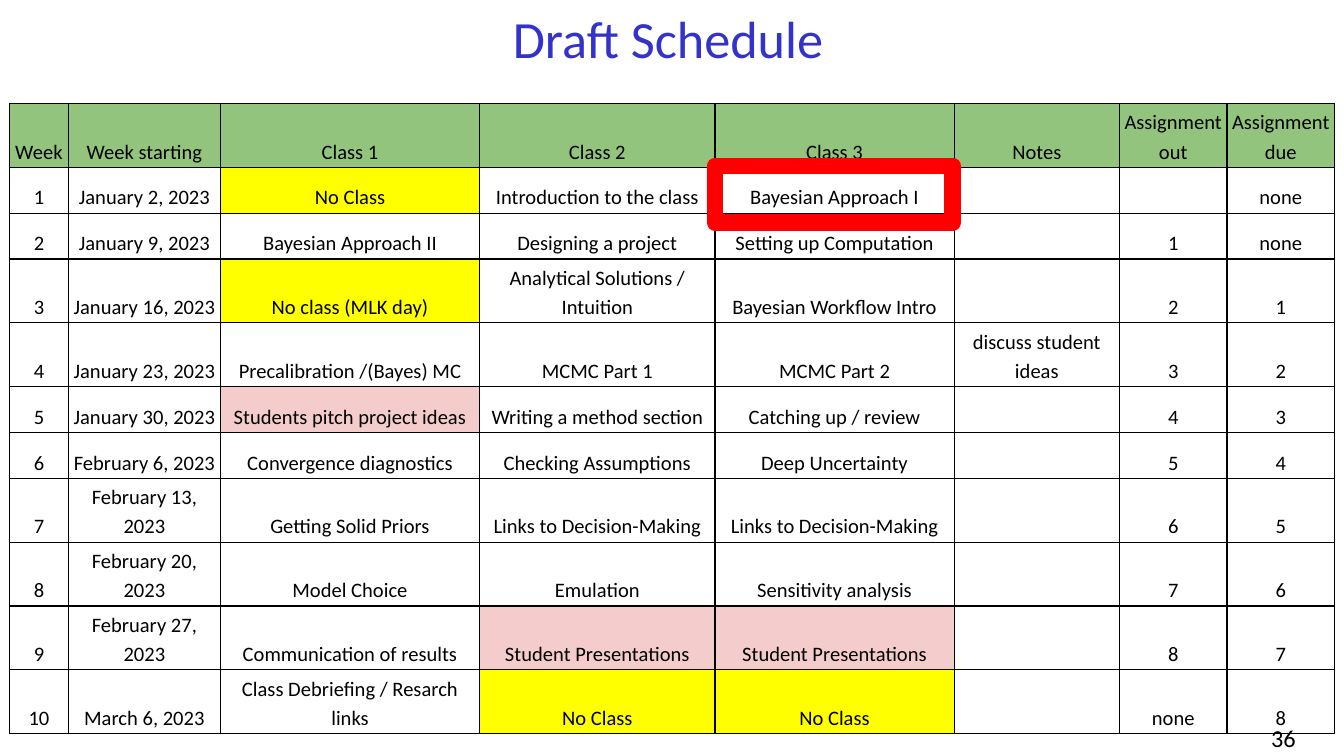
from dataclasses import dataclass

from lxml import etree
from pptx import Presentation
from pptx.dml.color import RGBColor
from pptx.enum.shapes import MSO_SHAPE
from pptx.enum.text import MSO_ANCHOR, PP_ALIGN
from pptx.oxml.ns import qn
from pptx.util import Inches, Pt

CENTER = PP_ALIGN.CENTER
TOP, MIDDLE, BOTTOM = MSO_ANCHOR.TOP, MSO_ANCHOR.MIDDLE, MSO_ANCHOR.BOTTOM
RECTANGLE = MSO_SHAPE.RECTANGLE
TITLE_ONLY = 5


@dataclass(frozen=True)
class Theme:
    font: str = "Calibri"
    title_size: float = 28
    number_size: float = 13
    cell_size: float = 11
    border_width: float = 0.75
    marker_width: float = 9
    title: str = "3333CC"
    text: str = "000000"
    header: str = "93C47D"
    no_class: str = "FFFF00"
    student: str = "F4CCCC"
    marker: str = "FF0000"


THEME = Theme()

COLUMN_WIDTHS = [0.44, 1.13, 1.93, 1.75, 1.78, 1.23, 0.8, 0.8]
SINGLE_ROW, DOUBLE_ROW = 24.6 / 72, 34.2 / 72
SINGLE_WEEKS = (1, 2, 5, 6)
HEADINGS = ["Week", "Week starting", "Class 1", "Class 2", "Class 3", "Notes",
            "Assignment out", "Assignment due"]
WEEKS = [
    ["January 2, 2023", "No Class", "Introduction to the class",
     "Bayesian Approach I", "", "", "none"],
    ["January 9, 2023", "Bayesian Approach II", "Designing a project",
     "Setting up Computation", "", "1", "none"],
    ["January 16, 2023", "No class (MLK day)", "Analytical Solutions / Intuition",
     "Bayesian Workflow Intro", "", "2", "1"],
    ["January 23, 2023", "Precalibration /(Bayes) MC", "MCMC Part 1",
     "MCMC Part 2", "discuss student ideas", "3", "2"],
    ["January 30, 2023", "Students pitch project ideas", "Writing a method section",
     "Catching up / review", "", "4", "3"],
    ["February 6, 2023", "Convergence diagnostics", "Checking Assumptions",
     "Deep Uncertainty", "", "5", "4"],
    ["February 13, 2023", "Getting Solid Priors", "Links to Decision-Making",
     "Links to Decision-Making", "", "6", "5"],
    ["February 20, 2023", "Model Choice", "Emulation",
     "Sensitivity analysis", "", "7", "6"],
    ["February 27, 2023", "Communication of results", "Student Presentations",
     "Student Presentations", "", "8", "7"],
    ["March 6, 2023", "Class Debriefing / Resarch links", "No Class",
     "No Class", "", "none", "8"],
]
ROWS = [HEADINGS] + [[str(week), *entries] for week, entries in enumerate(WEEKS, 1)]
ROW_HEIGHTS = [SINGLE_ROW if row in SINGLE_WEEKS else DOUBLE_ROW
               for row in range(len(ROWS))]


def apply_format(target, values):
    for name, value in values.items():
        setattr(target, name, value)


def write_text(para, text, size, color):
    para.alignment = CENTER
    span = para.add_run()
    span.text = text
    apply_format(span.font, {"name": THEME.font, "size": Pt(size)})
    span.font.color.rgb = RGBColor.from_string(color)


def margins(left, top, right, bottom):
    return {"margin_left": Inches(left), "margin_top": Inches(top),
            "margin_right": Inches(right), "margin_bottom": Inches(bottom)}


def add_title(page, box):
    title = page.shapes.title
    apply_format(title, dict(zip(("left", "top", "width", "height"),
                                 map(Inches, box))))
    frame = title.text_frame
    apply_format(frame, {**margins(0.04, 0.04, 0.08, 0.04),
                         "vertical_anchor": MIDDLE, "word_wrap": True})
    write_text(frame.paragraphs[0], "Draft Schedule", THEME.title_size, THEME.title)


def add_page_number(page, box):
    frame = page.shapes.add_textbox(*map(Inches, box)).text_frame
    apply_format(frame, {**margins(0.06, 0.03, 0.06, 0.03),
                         "vertical_anchor": TOP, "word_wrap": True})
    write_text(frame.paragraphs[0], "36", THEME.number_size, THEME.text)


def add_borders(cell):
    properties = cell._tc.get_or_add_tcPr()
    for side in ("a:lnL", "a:lnR", "a:lnT", "a:lnB"):
        line = etree.SubElement(properties, qn(side), w=str(Pt(THEME.border_width)))
        fill = etree.SubElement(line, qn("a:solidFill"))
        etree.SubElement(fill, qn("a:srgbClr"), val=THEME.text)


def cell_color(row, text):
    if row == 0:
        return THEME.header
    if text.lower().startswith("no class"):
        return THEME.no_class
    if text.startswith("Student"):
        return THEME.student
    return None


def fill_cell(cell, text, color):
    add_borders(cell)
    if color:
        cell.fill.solid()
        cell.fill.fore_color.rgb = RGBColor.from_string(color)
    else:
        cell.fill.background()
    apply_format(cell, {**margins(0.03, 0.02, 0.03, 0.02),
                        "vertical_anchor": BOTTOM})
    para = cell.text_frame.paragraphs[0]
    para.line_spacing = 1.15
    if text:
        write_text(para, text, THEME.cell_size, THEME.text)
    else:
        # An empty cell at the default size would stretch its row.
        etree.SubElement(para._p, qn("a:endParaRPr"), sz=str(THEME.cell_size * 100))


def add_schedule(page, left, top):
    box = (left, top, sum(COLUMN_WIDTHS), sum(ROW_HEIGHTS))
    table = page.shapes.add_table(len(ROWS), len(HEADINGS), *map(Inches, box)).table
    apply_format(table, {"first_row": False, "horz_banding": False})
    for column, width in zip(table.columns, COLUMN_WIDTHS):
        column.width = Inches(width)
    for row, (entries, height) in enumerate(zip(ROWS, ROW_HEIGHTS)):
        table.rows[row].height = Inches(height)
        for column, text in enumerate(entries):
            fill_cell(table.cell(row, column), text, cell_color(row, text))


def add_class_marker(page, left, top, row, column):
    """Frame one class of the schedule whose corner is at left, top."""
    box = (left + sum(COLUMN_WIDTHS[:column]), top + sum(ROW_HEIGHTS[:row]) - 0.01,
           COLUMN_WIDTHS[column] - 0.01, 0.42)
    marker = page.shapes.add_shape(RECTANGLE, *map(Inches, box))
    marker.shadow.inherit = False
    marker.fill.background()
    marker.line.color.rgb = RGBColor.from_string(THEME.marker)
    marker.line.width = Pt(THEME.marker_width)
    etree.SubElement(marker.line._get_or_add_ln(), qn("a:round"))


def build_schedule_page(deck):
    page = deck.slides.add_slide(deck.slide_layouts[TITLE_ONLY])
    left, top = 0.07, 0.77
    add_title(page, (0.74, 0, 8.5, 0.56))
    add_page_number(page, (9.15, 5.35, 0.8, 0.16))
    add_schedule(page, left, top)
    add_class_marker(page, left, top, row=1, column=HEADINGS.index("Class 3"))


def main():
    deck = Presentation()
    width = Inches(10)
    apply_format(deck, {"slide_width": width, "slide_height": width * 9 // 16})
    build_schedule_page(deck)
    deck.save("out.pptx")


if __name__ == "__main__":
    main()
